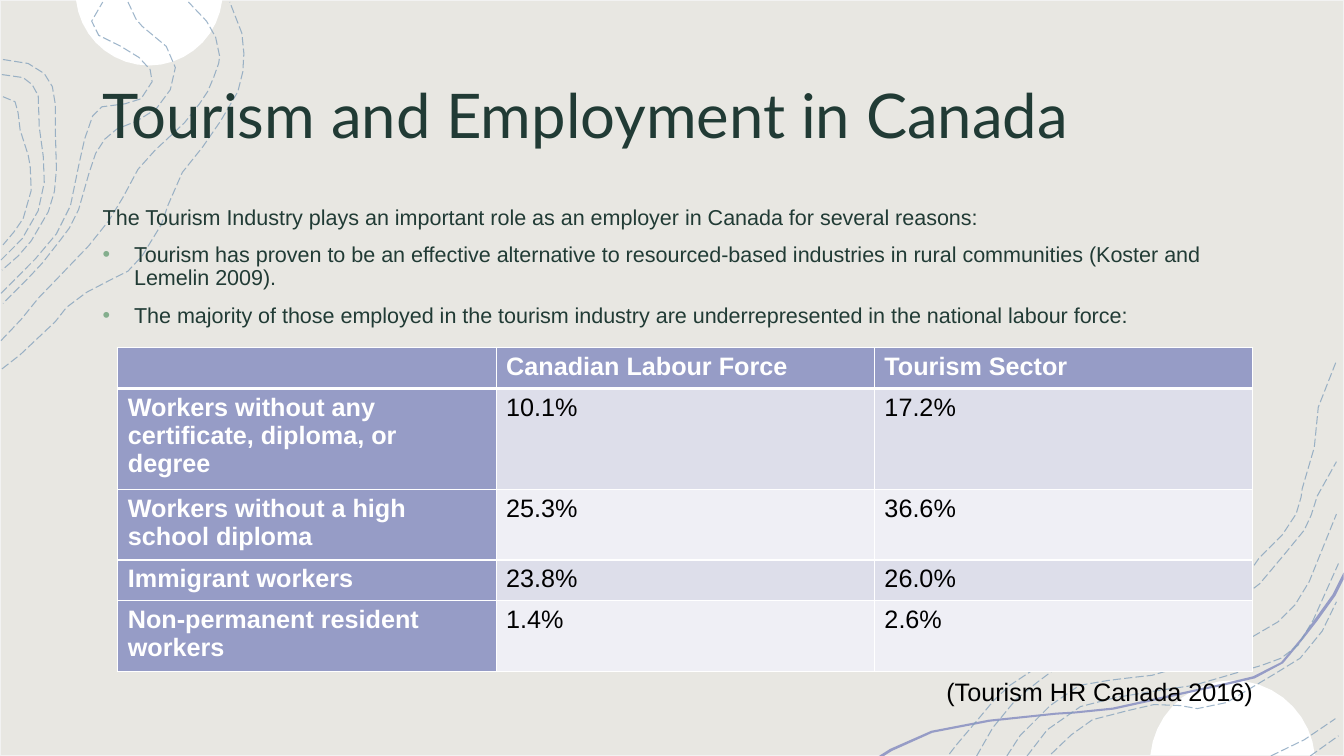
from math import asin, cos, pi, sin

from lxml.etree import SubElement
from pptx import Presentation
from pptx.dml.color import RGBColor
from pptx.enum.dml import MSO_LINE
from pptx.enum.shapes import MSO_SHAPE as Preset
from pptx.enum.text import MSO_ANCHOR as Anchor, MSO_AUTO_SIZE as AutoSize
from pptx.oxml.ns import qn
from pptx.util import Cm, Pt

CM_PER_INCH = 2.54
SAND, WHITE, EDGE = "E8E7E2", "FFFFFF", "F2F2F2"
LILAC, BAND_DARK, BAND_LIGHT = "969CC6", "DDDEEA", "EFEFF5"
FOREST, LEAF, CONTOUR, BLACK = "213B35", "84AE8D", "7F9EBA", "000000"

# Points of the decorative lines, in inches from the top left of the page.
TOP_LEFT_CONTOURS = [
    [(0.02, 3.66), (0.2, 3.52), (0.55, 3.19), (0.66, 3.05), (0.86, 2.9), (1.11, 2.77), (1.27, 2.69),
     (1.41, 2.54), (1.6, 2.23), (1.67, 2.03), (1.81, 1.71), (2.01, 1.46), (2.19, 1.2), (2.36, 0.91),
     (2.41, 0.71), (2.42, 0.53), (2.4, 0.33), (2.28, 0.02)],
    [(0.01, 3.38), (0.21, 3.17), (0.38, 2.96), (0.64, 2.69), (0.88, 2.44), (1.08, 2.19), (1.22, 1.96),
     (1.37, 1.68), (1.54, 1.49), (1.83, 1.22), (1.98, 1.03), (2.06, 0.91), (2.12, 0.77), (2.17, 0.63),
     (2.18, 0.56), (2.14, 0.37), (2.05, 0.21), (1.87, 0.02)],
    [(1.27, 0.02), (1.35, 0.19), (1.41, 0.26), (1.65, 0.46), (1.74, 0.67), (1.69, 0.89), (1.55, 1.08),
     (1.36, 1.2), (1.16, 1.28), (1.04, 1.38), (0.95, 1.52), (0.88, 1.73), (0.78, 2.08), (0.69, 2.26),
     (0.6, 2.38), (0.42, 2.61), (0.28, 2.76), (0.03, 3.01)],
    [(0.01, 2.91), (0.35, 2.57), (0.56, 2.32), (0.7, 2.04), (0.78, 1.65), (0.84, 1.38), (0.92, 1.15),
     (1.01, 1.06), (1.24, 1.03), (1.4, 0.98), (1.51, 0.81), (1.49, 0.69), (1.38, 0.57), (1.2, 0.46),
     (0.98, 0.35), (0.91, 0.21), (1.02, 0.02)],
    [(0.03, 0.59), (0.28, 0.63), (0.44, 0.73), (0.52, 0.86), (0.55, 1.04), (0.55, 1.32), (0.56, 1.68),
     (0.54, 1.9), (0.48, 2.1), (0.31, 2.39), (0.18, 2.54), (0.02, 2.68)],
    [(0.02, 0.74), (0.23, 0.77), (0.32, 0.84), (0.38, 0.95), (0.39, 1.26), (0.43, 1.55), (0.44, 1.81),
     (0.38, 2.09), (0.22, 2.37), (0.01, 2.58)],
    [(0.03, 0.96), (0.15, 1.01), (0.18, 1.12), (0.2, 1.29), (0.28, 1.54), (0.3, 1.65), (0.31, 1.89),
     (0.23, 2.17), (0.14, 2.3), (0.03, 2.43)],
]
BOTTOM_RIGHT_CONTOURS = [
    [(9.42, 7.48), (9.49, 7.39), (9.71, 7.13), (9.86, 6.95), (10.02, 6.8), (10.32, 6.6), (10.56, 6.43),
     (10.78, 6.3), (10.98, 6.25), (11.26, 6.29), (11.37, 6.29), (11.55, 6.19), (11.73, 6.06), (12, 5.96),
     (12.24, 5.85), (12.34, 5.76), (12.49, 5.54), (12.72, 5.31), (12.86, 5.1), (12.91, 4.93),
     (12.92, 4.85), (13.04, 4.44), (13.08, 4.04), (13.26, 3.58)],
    [(9.69, 7.5), (9.85, 7.22), (10.08, 6.94), (10.29, 6.77), (10.49, 6.62), (10.75, 6.45), (11.03, 6.38),
     (11.22, 6.41), (11.45, 6.41), (11.64, 6.33), (11.75, 6.24), (11.95, 6.1), (12.18, 6), (12.33, 5.92),
     (12.5, 5.79), (12.76, 5.48), (12.94, 5.26), (13.01, 5.11), (13.07, 4.92), (13.26, 4.58)],
    [(13, 7.5), (13.28, 7.3)],
    [(12.61, 7.5), (12.94, 7.34), (13.25, 7.13)],
    [(10.43, 7.48), (10.63, 7.29), (10.84, 7.14), (11.19, 7.05), (11.45, 6.99), (11.71, 7), (11.88, 7.03),
     (12.17, 6.97), (12.64, 6.69), (12.9, 6.53), (13.12, 6.26), (13.26, 5.97)],
    [(10.19, 7.5), (10.39, 7.24), (10.72, 7.01), (11.07, 6.92), (11.49, 6.85), (11.84, 6.8), (12.15, 6.71),
     (12.52, 6.6), (12.71, 6.53), (12.88, 6.4), (13.03, 6.15), (13.28, 5.59)],
    [(9.99, 7.5), (10.12, 7.3), (10.42, 7), (10.71, 6.8), (11, 6.75), (11.25, 6.72), (11.43, 6.7),
     (11.84, 6.58), (12.16, 6.43), (12.44, 6.31), (12.68, 6.17), (12.85, 6), (12.99, 5.77), (13.26, 5.1)],
]
RIBBON = [
    (13.33, 5.75), (13.25, 5.91), (13.07, 6.16), (12.93, 6.34), (12.73, 6.58), (12.45, 6.73), (12.15, 6.8),
    (11.91, 6.85), (11.55, 6.93), (11.05, 7.04), (10.65, 7.08), (10.48, 7.09), (9.82, 7.16), (9.25, 7.27),
    (8.85, 7.45), (8.77, 7.5), (8.72, 7.5), (8.83, 7.43), (9.24, 7.25), (9.81, 7.14), (10.48, 7.07),
    (10.65, 7.06), (11.04, 7.02), (11.54, 6.91), (11.9, 6.83), (12.14, 6.78), (12.43, 6.71), (12.71, 6.57),
    (12.91, 6.33), (13.04, 6.15), (13.22, 5.9), (13.31, 5.72), (13.33, 5.68)]

INTRO = "The Tourism Industry plays an important role as an employer in Canada for several reasons:"
REASONS = [
    "Tourism has proven to be an effective alternative to resourced-based industries in rural "
    "communities (Koster and Lemelin 2009).",
    "The majority of those employed in the tourism industry are underrepresented in the national "
    "labour force:",
]
WORKFORCE = [
    ("", "Canadian Labour Force", "Tourism Sector"),
    ("Workers without any certificate, diploma, or degree", "10.1%", "17.2%"),
    ("Workers without a high school diploma", "25.3%", "36.6%"),
    ("Immigrant workers", "23.8%", "26.0%"),
    ("Non-permanent resident workers", "1.4%", "2.6%"),
]


def color(hex_code):
    return RGBColor.from_string(hex_code)


def add_outline(shapes, points, close):
    start, *rest = [(Cm(x * CM_PER_INCH), Cm(y * CM_PER_INCH)) for x, y in points]
    builder = shapes.build_freeform(*start)
    builder.add_line_segments(rest, close=close)
    shape = builder.convert_to_shape()
    shape.shadow.inherit = False
    return shape


def add_filled(shapes, points, fill):
    shape = add_outline(shapes, points, close=True)
    shape.fill.solid()
    shape.fill.fore_color.rgb = color(fill)
    shape.line.fill.background()


def add_cap(shapes, center, radius, edge, fill, steps=18):
    """Add the part of a circle that lies inside the page's top or bottom edge."""
    x, y = center
    first = asin((edge - y) / radius)
    sweep = (pi if edge > y else -pi) - 2 * first
    angles = [first + sweep * step / steps for step in range(steps + 1)]
    add_filled(shapes, [(x + radius * cos(a), y + radius * sin(a)) for a in angles], fill)


def add_contours(shapes, contours):
    group = shapes.add_group_shape()
    for points in contours:
        shape = add_outline(group.shapes, points, close=False)
        shape.fill.background()
        shape.line.color.rgb = color(CONTOUR)
        shape.line.width = Pt(0.75)
        shape.line.dash_style = MSO_LINE.LONG_DASH
        tint = shape.line._ln.find(".//" + qn("a:srgbClr"))
        SubElement(tint, qn("a:alpha"), val="75000")


def add_backdrop(page, width, height):
    panel = page.shapes.add_shape(Preset.RECTANGLE, 0, 0, width, height)
    panel.shadow.inherit = False
    panel.fill.solid()
    panel.fill.fore_color.rgb = color(SAND)
    panel.line.color.rgb = color(EDGE)
    panel.line.width = Pt(1)


def add_box(page, left, top, width, height, wrap=True):
    box = page.shapes.add_textbox(Cm(left), Cm(top), Cm(width), Cm(height))
    box.text_frame.word_wrap = wrap
    return box.text_frame


def add_span(para, text, size, ink, font="Arial", bold=False):
    span = para.add_run()
    span.text = text
    span.font.name = font
    span.font.size = Pt(size)
    span.font.bold = bold
    span.font.color.rgb = color(ink)


def add_bullet(para):
    props = para._p.get_or_add_pPr()
    props.set("marL", str(Cm(0.79)))
    props.set("indent", str(-Cm(0.79)))
    SubElement(SubElement(props, qn("a:buClr")), qn("a:srgbClr"), val=LEAF)
    SubElement(props, qn("a:buFont"), typeface="Arial")
    SubElement(props, qn("a:buChar"), char="•")


def add_reasons(page):
    frame = add_box(page, 2.34, 5.08, 29.21, 3.68)
    for index, text in enumerate([INTRO, *REASONS]):
        para = frame.add_paragraph() if index else frame.paragraphs[0]
        if index:
            add_bullet(para)
            para.space_before = Pt(10)
        para.line_spacing = 0.9
        add_span(para, text, 15.4, FOREST)


def set_borders(cell, **widths):
    """Draw white borders, 1 pt unless a width is given for side L, R, T or B."""
    props = cell._tc.get_or_add_tcPr()
    for side in "LRTB":
        line = SubElement(props, qn("a:ln" + side), w=str(Pt(widths.get(side, 1))))
        SubElement(SubElement(line, qn("a:solidFill")), qn("a:srgbClr"), val=WHITE)


def add_workforce_table(page):
    frame = page.shapes.add_table(
        len(WORKFORCE), len(WORKFORCE[0]), Cm(2.97), Cm(8.76), Cm(28.6), Cm(8.15))
    for row_index, values in enumerate(WORKFORCE):
        frame.table.rows[row_index].height = Cm(1.03)
        for column, text in enumerate(values):
            cell = frame.table.cell(row_index, column)
            heading = row_index == 0 or column == 0
            set_borders(cell, T=3 if row_index == 1 else 1, B=3 if row_index == 0 else 1)
            cell.fill.solid()
            band = BAND_DARK if row_index % 2 else BAND_LIGHT
            cell.fill.fore_color.rgb = color(LILAC if heading else band)
            if text:
                add_span(cell.text_frame.paragraphs[0], text, 18, WHITE if heading else BLACK, bold=heading)
    frame.height = Cm(8.15)


def main():
    deck = Presentation()
    deck.slide_width, deck.slide_height = Cm(33.87), Cm(19.05)
    page = deck.slides.add_slide(deck.slide_layouts[6])
    add_backdrop(page, deck.slide_width, deck.slide_height)
    add_cap(page.shapes, (1.48, -0.08), 0.73, 0, WHITE)
    add_cap(page.shapes, (12.23, 7.57), 0.82, 7.49, WHITE)
    add_filled(page.shapes, RIBBON, LILAC)
    add_contours(page.shapes, TOP_LEFT_CONTOURS)
    add_contours(page.shapes, BOTTOM_RIGHT_CONTOURS)

    title = add_box(page, 2.34, 1.02, 29.21, 3.68)
    title.vertical_anchor = Anchor.MIDDLE
    add_span(title.paragraphs[0], "Tourism and Employment in Canada", 44, FOREST, font="Lato")
    add_reasons(page)
    add_workforce_table(page)
    citation = add_box(page, 23.6, 16.92, 8.28, 1.03, wrap=False)
    citation.auto_size = AutoSize.SHAPE_TO_FIT_TEXT
    add_span(citation.paragraphs[0], "(Tourism HR Canada 2016)", 18, BLACK)
    deck.save("out.pptx")


if __name__ == "__main__":
    main()
